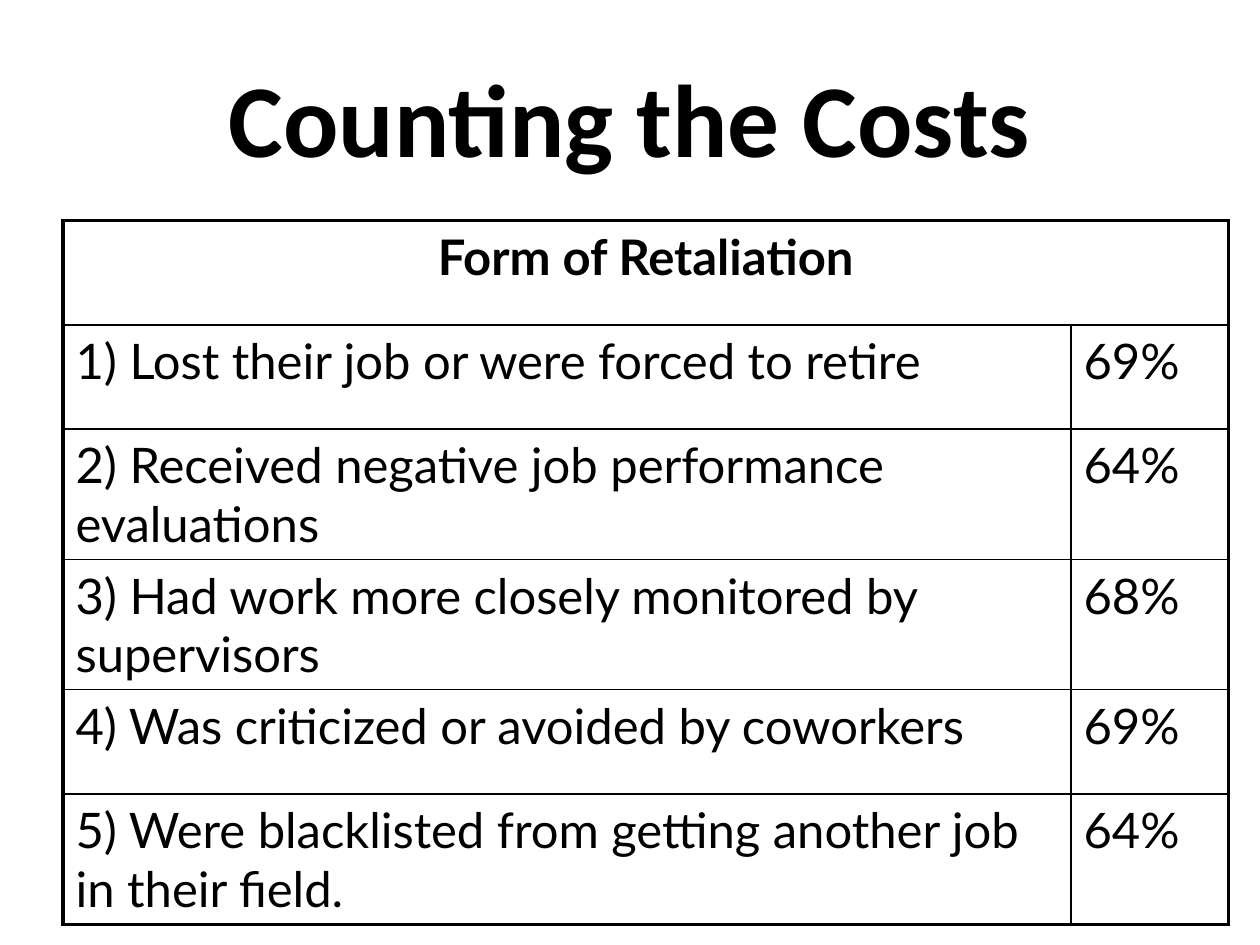
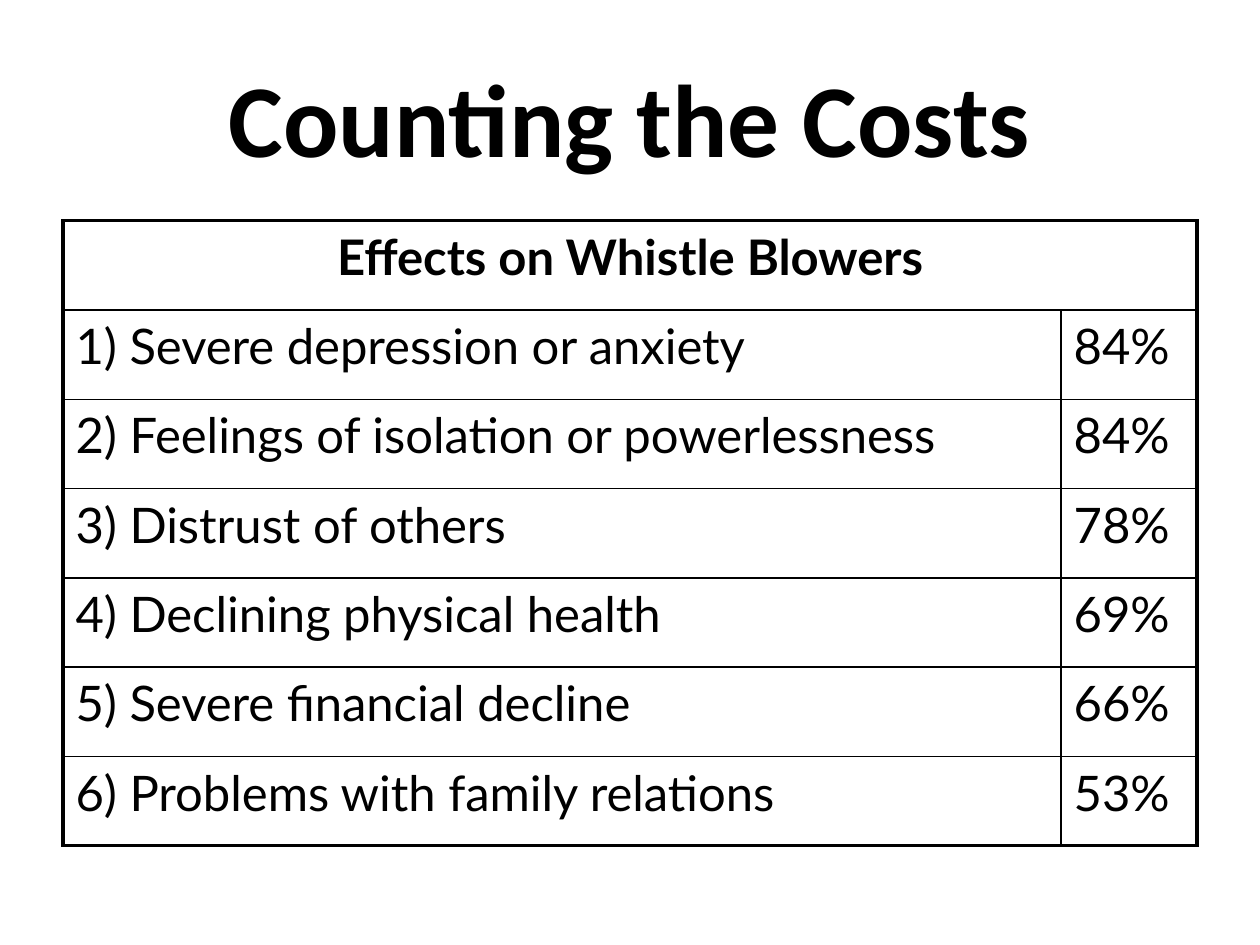
from lxml import etree
from pptx import Presentation
from pptx.dml.color import RGBColor
from pptx.enum.text import MSO_ANCHOR as Anchor, MSO_AUTO_SIZE as AutoSize, PP_ALIGN as Align
from pptx.oxml.ns import qn
from pptx.util import Cm, Pt

BLACK = RGBColor(0x00, 0x00, 0x00)
WHITE = RGBColor(0xFF, 0xFF, 0xFF)
TITLE_FONT = {"name": "Calibri", "size": Pt(59), "bold": True}
HEADING_FONT = {"name": "Lato", "size": Pt(28), "bold": True}
ENTRY_FONT = {**HEADING_FONT, "bold": False}
OUTER, INNER = Pt(2.25), Pt(1)
LEFT, TABLE_TOP = Cm(1.27), Cm(4.45)

RETALIATION = [
    ("1) Lost their job or were forced to retire", "69%"),
    ("2) Received negative job performance evaluations", "64%"),
    ("3) Had work more closely monitored by supervisors", "68%"),
    ("4) Was criticized or avoided by coworkers", "69%"),
    ("5) Were blacklisted from getting another job in their field.", "64%"),
]
EFFECTS = [
    ("1) Severe depression or anxiety", "84%"),
    ("2) Feelings of isolation or powerlessness", "84%"),
    ("3) Distrust of others", "78%"),
    ("4) Declining physical health", "69%"),
    ("5) Severe financial decline", "66%"),
    ("6) Problems with family relations", "53%"),
]


def write(frame, text, font_format, align):
    paragraph = frame.paragraphs[0]
    paragraph.text = text
    paragraph.alignment = align
    for attribute, value in font_format.items():
        setattr(paragraph.font, attribute, value)
    paragraph.font.color.rgb = BLACK


def add_title(slide, text):
    title = slide.shapes.title
    title.left, title.top, title.width, title.height = LEFT, Cm(0.76), Cm(22.86), Cm(3.18)
    title.text_frame.auto_size = AutoSize.NONE
    title.text_frame.vertical_anchor = Anchor.MIDDLE
    write(title.text_frame, text, TITLE_FONT, Align.CENTER)


def set_borders(cell, widths):
    """Draw the cell's sides; widths maps L, R, T and B, in that order, to line widths."""
    properties = cell._tc.get_or_add_tcPr()
    for side, width in widths.items():
        line = etree.SubElement(properties, qn(f"a:ln{side}"), w=str(width))
        fill = etree.SubElement(line, qn("a:solidFill"))
        etree.SubElement(fill, qn("a:srgbClr"), val=str(BLACK))


def add_cost_table(slide, heading, entries, column_widths, row_height):
    """Add a heading row across both columns, then one row per entry and its share."""
    rows = [(heading, ""), *entries]
    table = slide.shapes.add_table(len(rows), 2, LEFT, TABLE_TOP, sum(column_widths),
                                   row_height * len(rows)).table
    table.first_row = table.horz_banding = False
    for column, width in zip(table.columns, column_widths):
        column.width = width
    table.cell(0, 0).merge(table.cell(0, 1))

    last = len(rows) - 1
    for r, texts in enumerate(rows):
        table.rows[r].height = row_height
        is_heading = r == 0
        for c, text in enumerate(texts):
            cell = table.cell(r, c)
            set_borders(cell, {
                "L": OUTER if c == 0 else INNER,
                "R": OUTER if c == 1 or is_heading else INNER,
                "T": OUTER if is_heading else INNER,
                "B": OUTER if r == last else INNER,
            })
            cell.fill.solid()
            cell.fill.fore_color.rgb = WHITE
            if text:
                write(cell.text_frame, text, HEADING_FONT if is_heading else ENTRY_FONT,
                      Align.CENTER if is_heading else Align.LEFT)


def main():
    deck = Presentation()
    deck.slide_width, deck.slide_height = Cm(25.4), Cm(19.05)
    title_only = deck.slide_layouts[5]
    for heading, entries, column_widths, row_height in (
        ("Form of Retaliation", RETALIATION, (Cm(20.32), Cm(3.17)), Cm(2.1)),
        ("Effects on Whistle Blowers", EFFECTS, (Cm(20.12), Cm(2.74)), Cm(1.8)),
    ):
        slide = deck.slides.add_slide(title_only)
        add_title(slide, "Counting the Costs")
        add_cost_table(slide, heading, entries, column_widths, row_height)
    deck.save("out.pptx")


if __name__ == "__main__":
    main()
